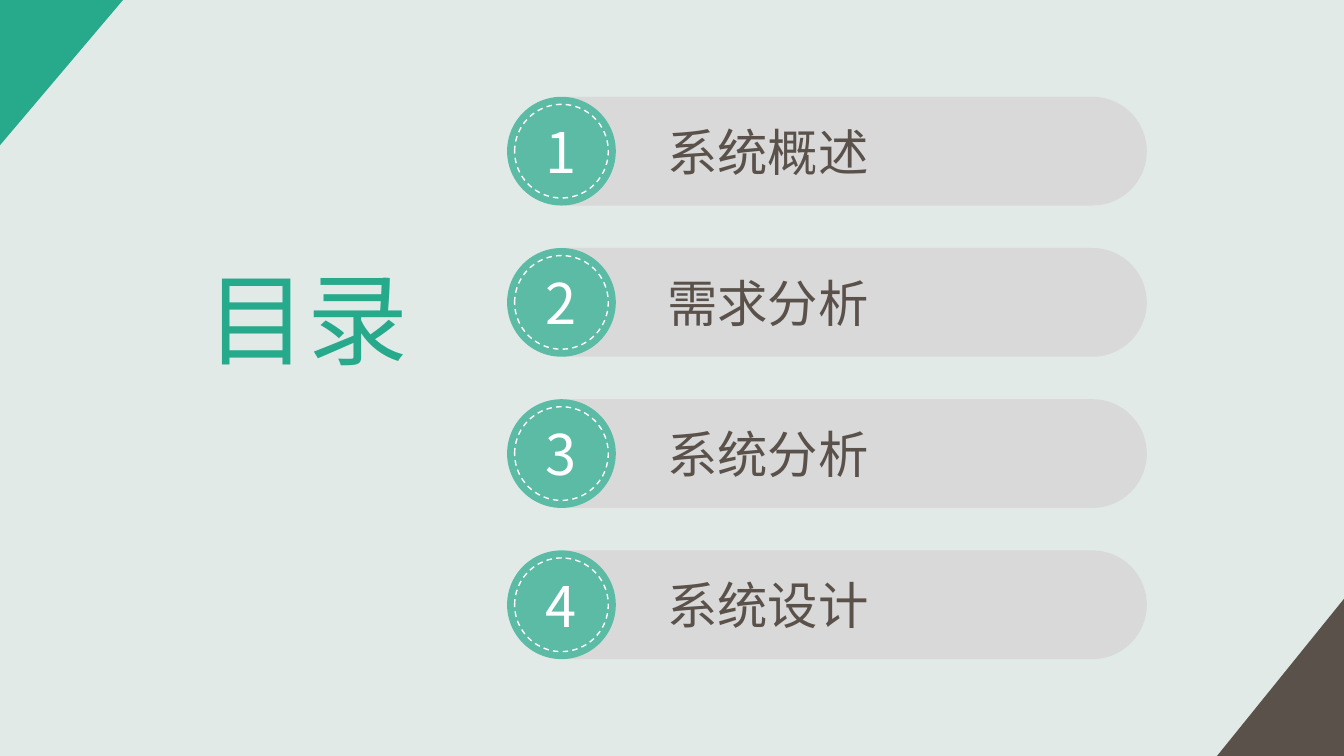
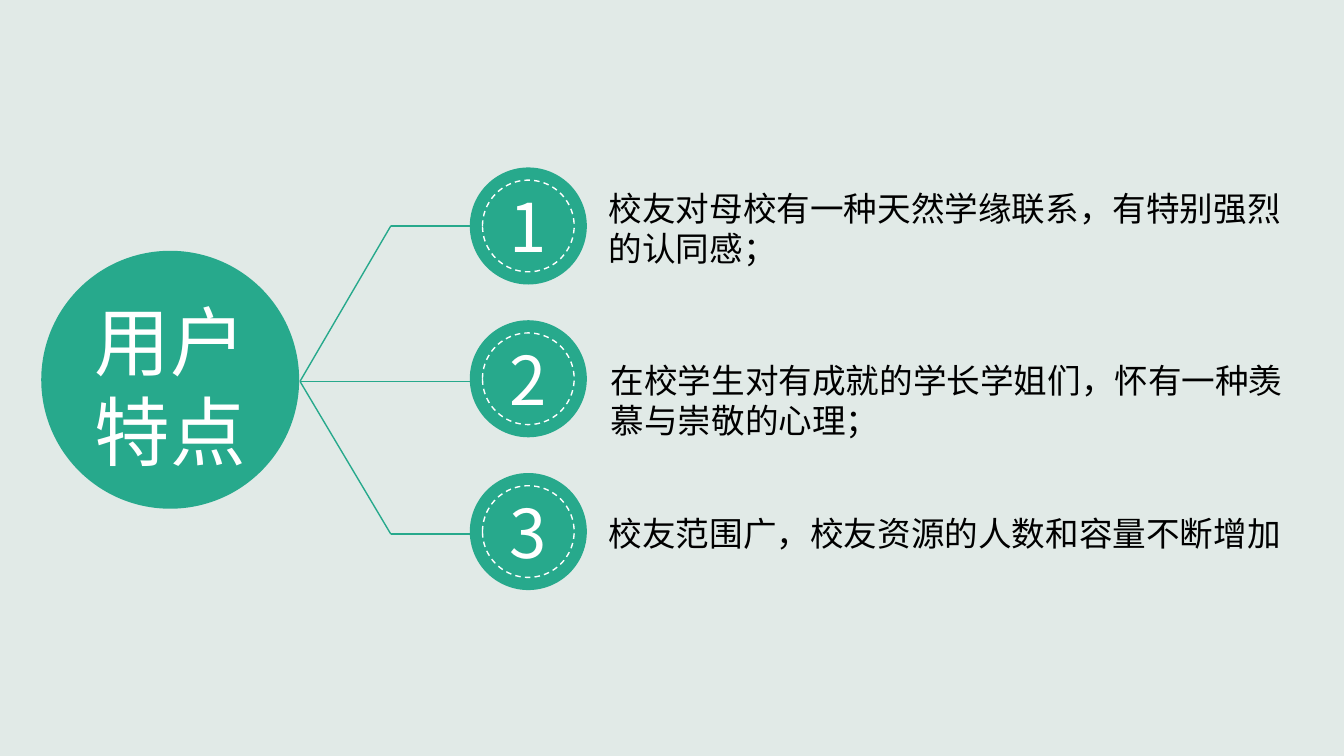
import pptx
import pptx.dml.color
import pptx.enum.dml
import pptx.enum.shapes
import pptx.enum.text
import pptx.oxml.ns
import pptx.util
from lxml import etree
from pptx.util import Cm

SHAPES = pptx.enum.shapes.MSO_SHAPE
ANCHOR = pptx.enum.text.MSO_ANCHOR
ALIGN = pptx.enum.text.PP_ALIGN


def color(value):
    return pptx.dml.color.RGBColor.from_string(value)


class Deck:
    FONT = "Noto Sans CJK JP"
    BACKGROUND = "E1EAE7"
    GREEN = "27A98C"
    LIGHT_GREEN = "5BBBA5"
    BROWN = "5A514A"
    GRAY = "D9D9D9"
    WHITE = "FFFFFF"
    BLACK = "000000"

    def __init__(self):
        self.presentation = pptx.Presentation()
        self.presentation.slide_width = Cm(33.87)
        self.presentation.slide_height = Cm(19.05)
        fill = self.presentation.slide_master.background.fill
        fill.solid()
        fill.fore_color.rgb = color(self.BACKGROUND)
        self.slide = None

    def add_slide(self):
        layout = self.presentation.slide_layouts.get_by_name("Title Only")
        self.slide = self.presentation.slides.add_slide(layout)

    def fill_text(self, shape, text, size, ink, align=ALIGN.LEFT,
                  anchor=ANCHOR.MIDDLE, font=FONT, spacing=None):
        frame = shape.text_frame
        frame.text = text
        frame.word_wrap = True
        frame.auto_size = pptx.enum.text.MSO_AUTO_SIZE.NONE
        frame.vertical_anchor = anchor
        paragraph = frame.paragraphs[0]
        paragraph.alignment = align
        if spacing:
            paragraph.line_spacing = pptx.util.Pt(spacing)
        for run in paragraph.runs:
            run.font.size = pptx.util.Pt(size)
            run.font.color.rgb = color(ink)
            run.font.name = font
            east_asian = etree.Element(pptx.oxml.ns.qn("a:ea"), typeface=self.FONT)
            run.font._element.find(pptx.oxml.ns.qn("a:latin")).addnext(east_asian)

    def title(self, text, left, top, width, height, size, ink, **style):
        shape = self.slide.shapes.title
        shape.left, shape.top = Cm(left), Cm(top)
        shape.width, shape.height = Cm(width), Cm(height)
        self.fill_text(shape, text, size, ink, **style)

    def text(self, text, left, top, width, height, size, ink, **style):
        shape = self.slide.shapes.add_textbox(Cm(left), Cm(top), Cm(width), Cm(height))
        self.fill_text(shape, text, size, ink, **style)

    def shape(self, kind, left, top, width, height, fill=None):
        shape = self.slide.shapes.add_shape(kind, Cm(left), Cm(top), Cm(width), Cm(height))
        shape.shadow.inherit = False
        shape.line.fill.background()
        if fill:
            shape.fill.solid()
            shape.fill.fore_color.rgb = color(fill)
        else:
            shape.fill.background()
        return shape

    def turned_shape(self, kind, left, top, width, height, fill, rotation):
        shift = (width - height) / 2
        shape = self.shape(kind, left + shift, top - shift, height, width, fill)
        shape.rotation = rotation
        return shape

    def bar(self, left, top, width, height):
        bar = self.turned_shape(SHAPES.ROUND_2_SAME_RECTANGLE, left, top,
                                width, height, self.GRAY, 90)
        bar.adjustments[0] = 0.5

    def badge(self, number, left, top, size, inset, fill, font_size):
        disc = self.shape(SHAPES.OVAL, left, top, size, size, fill)
        self.fill_text(disc, str(number), font_size, self.WHITE, ALIGN.CENTER)
        ring_size = size - 2 * inset
        ring = self.shape(SHAPES.OVAL, left + inset, top + inset, ring_size, ring_size)
        ring.line.color.rgb = color(self.WHITE)
        ring.line.width = pptx.util.Pt(1)
        ring.line.dash_style = pptx.enum.dml.MSO_LINE.DASH

    def line(self, start, end):
        connector = self.slide.shapes.add_connector(
            pptx.enum.shapes.MSO_CONNECTOR.STRAIGHT,
            Cm(start[0]), Cm(start[1]), Cm(end[0]), Cm(end[1]))
        connector.line.color.rgb = color(self.GREEN)
        connector.line.width = pptx.util.Pt(1)
        properties = connector.element.spPr
        etree.SubElement(properties, pptx.oxml.ns.qn("a:effectLst"))


def build_contents(deck):
    deck.add_slide()
    deck.turned_shape(SHAPES.RIGHT_TRIANGLE, 0, 0, 3.1, 3.66, deck.GREEN, 90)
    deck.turned_shape(SHAPES.RIGHT_TRIANGLE, 30.67, 15.09, 3.2, 3.96, deck.BROWN, 270)
    deck.title("目录", 4.95, 6.32, 5.74, 3.33, 72, deck.GREEN)
    chapters = ["系统概述", "需求分析", "系统分析", "系统设计"]
    size = 2.74
    for index, chapter in enumerate(chapters):
        top = 2.44 + index * 3.81
        deck.bar(14.2, top, 14.7, size)
        deck.badge(index + 1, 12.78, top, size, 0.19, deck.LIGHT_GREEN, 40)
        deck.text(chapter, 16.56, top + 0.47, 7.6, 1.8, 36, deck.BROWN)


def build_user_traits(deck):
    deck.add_slide()
    hub = deck.shape(SHAPES.OVAL, 1.04, 6.32, 6.5, 6.5, deck.GREEN)
    deck.slide.shapes.title.element.addprevious(hub.element)
    deck.title("用户特点", 1.99, 7.42, 4.6, 4.6, 54, deck.WHITE,
               align=ALIGN.CENTER, spacing=64)

    hub_point = (7.56, 9.61)
    line_end = 12.19
    for height in (5.69, 13.46):
        elbow = (9.85, height)
        deck.line(hub_point, elbow)
        deck.line(elbow, (line_end, height))
    deck.line(hub_point, (line_end, hub_point[1]))

    traits = [
        ("校友对母校有一种天然学缘联系，有特别强烈的认同感；", 15.09, 4.6, 2.31, "Calibri"),
        ("在校学生对有成就的学长学姐们，怀有一种羡慕与崇敬的心理；", 15.14, 8.94, 2.31, "Calibri"),
        ("校友范围广，校友资源的人数和容量不断增加", 15.09, 12.8, 1.27, deck.FONT),
    ]
    for index, (trait, left, top, height, font) in enumerate(traits):
        deck.badge(index + 1, 11.84, 4.22 + index * 3.85, 2.95, 0.32, deck.GREEN, 48)
        deck.text(trait, left, top, 17.73, height, 24, deck.BLACK,
                  anchor=ANCHOR.TOP, font=font, spacing=28.8)


def main():
    deck = Deck()
    build_contents(deck)
    build_user_traits(deck)
    deck.presentation.save("out.pptx")


if __name__ == "__main__":
    main()
